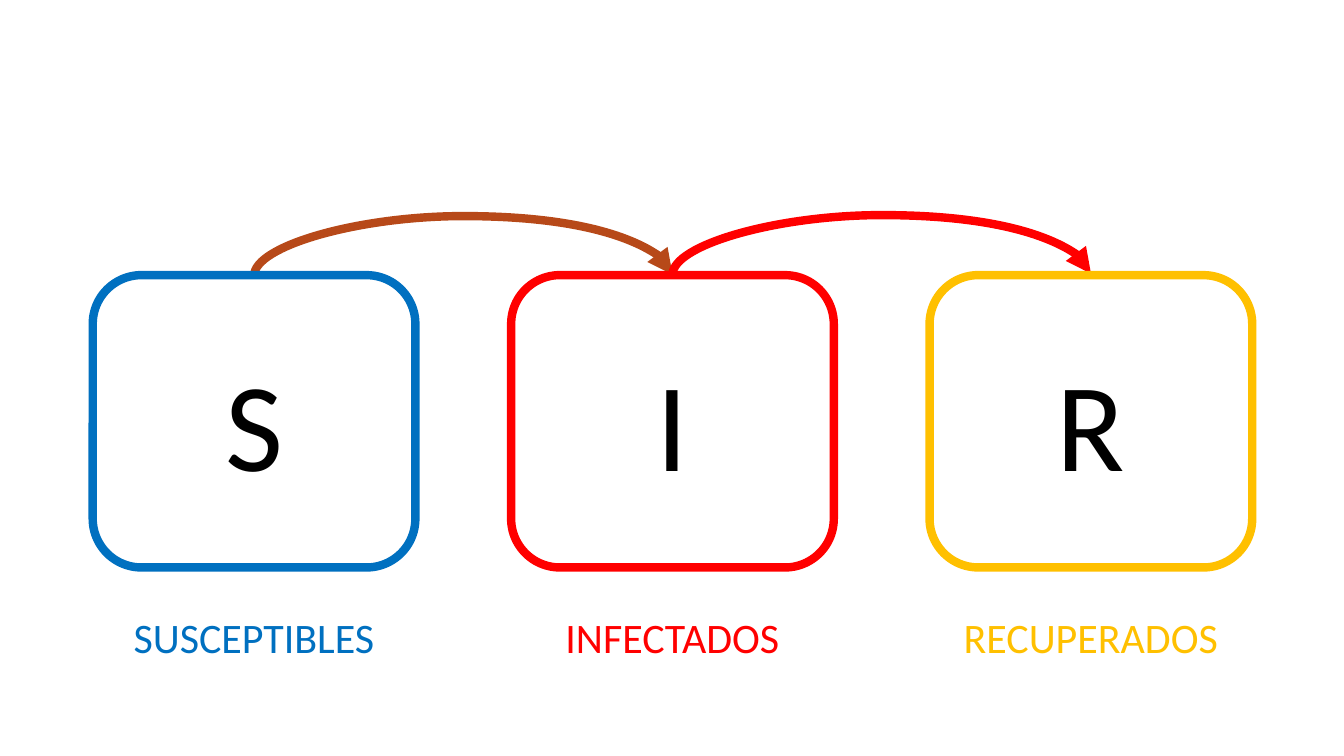
from pptx import Presentation
from pptx.dml.color import RGBColor as RGB
from pptx.enum.shapes import MSO_CONNECTOR as Link, MSO_SHAPE as Form
from pptx.enum.text import MSO_ANCHOR as Anchor, PP_ALIGN as Align
from pptx.oxml.ns import qn
from pptx.util import Inches, Pt
from lxml.etree import SubElement as Sub

BLACK = RGB(0x00, 0x00, 0x00)
BLUE = RGB(0x00, 0x70, 0xC0)
RED = RGB(0xFF, 0x00, 0x00)
GOLD = RGB(0xFF, 0xC0, 0x00)
RUST = RGB(0xB7, 0x49, 0x19)

LEFT, STEP, WIDTH = 0.92, 4.15, 3.2
TOP, TALL = 2.73, 2.9
STAGES = [("S", "SUSCEPTIBLES", BLUE), ("I", "INFECTADOS", RED),
          ("R", "RECUPERADOS", GOLD)]


class Chart:
    """Draws the stages and arrows of the model on one slide."""

    font = "Calibri"
    weight = Pt(6)

    def __init__(self, slide):
        self.shapes = slide.shapes

    def box(self, left, top, tall, text, size, ink, edge=None):
        box = self.shapes.add_shape(Form.ROUNDED_RECTANGLE, Inches(left),
                                    Inches(top), Inches(WIDTH), Inches(tall))
        box.shadow.inherit = False
        box.fill.background()
        if edge is None:
            box.line.fill.background()
        else:
            box.line.color.rgb = edge
            box.line.width = self.weight
        frame = box.text_frame
        frame.word_wrap = True
        frame.vertical_anchor = Anchor.MIDDLE
        para = frame.paragraphs[0]
        para.alignment = Align.CENTER
        run = para.add_run()
        run.text = text
        run.font.name = self.font
        run.font.size = Pt(size)
        run.font.color.rgb = ink

    def arc(self, left, top, span, rise, color):
        drop = 0.01
        mid = left + span / 2
        arc = self.shapes.add_connector(
            Link.CURVE, Inches(mid + drop / 2), Inches(top + span / 2),
            Inches(mid - drop / 2), Inches(top - span / 2))
        arc.line.color.rgb = color
        arc.line.width = self.weight
        props = arc._element.spPr
        props.find(qn("a:xfrm")).set("rot", str(90 * 60000))
        geom = props.find(qn("a:prstGeom"))
        guides = geom.find(qn("a:avLst"))
        if guides is None:
            guides = Sub(geom, qn("a:avLst"))
        ratio = round(rise / drop * 100000)
        Sub(guides, qn("a:gd"), name="adj1", fmla=f"val {ratio}")
        Sub(props.find(qn("a:ln")), qn("a:tailEnd"), type="triangle")
        Sub(props, qn("a:effectLst"))


def main():
    deck = Presentation()
    deck.slide_width, deck.slide_height = Inches(13.33), Inches(7.5)
    chart = Chart(deck.slides.add_slide(deck.slide_layouts[6]))
    for i, color in enumerate((RUST, RED)):
        chart.arc(LEFT + WIDTH / 2 + i * STEP, TOP - 0.01 * i, STEP, 0.6, color)
    for i, (mark, name, color) in enumerate(STAGES):
        left = LEFT + i * STEP
        chart.box(left, TOP, TALL, mark, 90, BLACK, color)
        chart.box(left, 5.86, 0.92, name, 30, color)
    deck.save("out.pptx")


if __name__ == "__main__":
    main()
